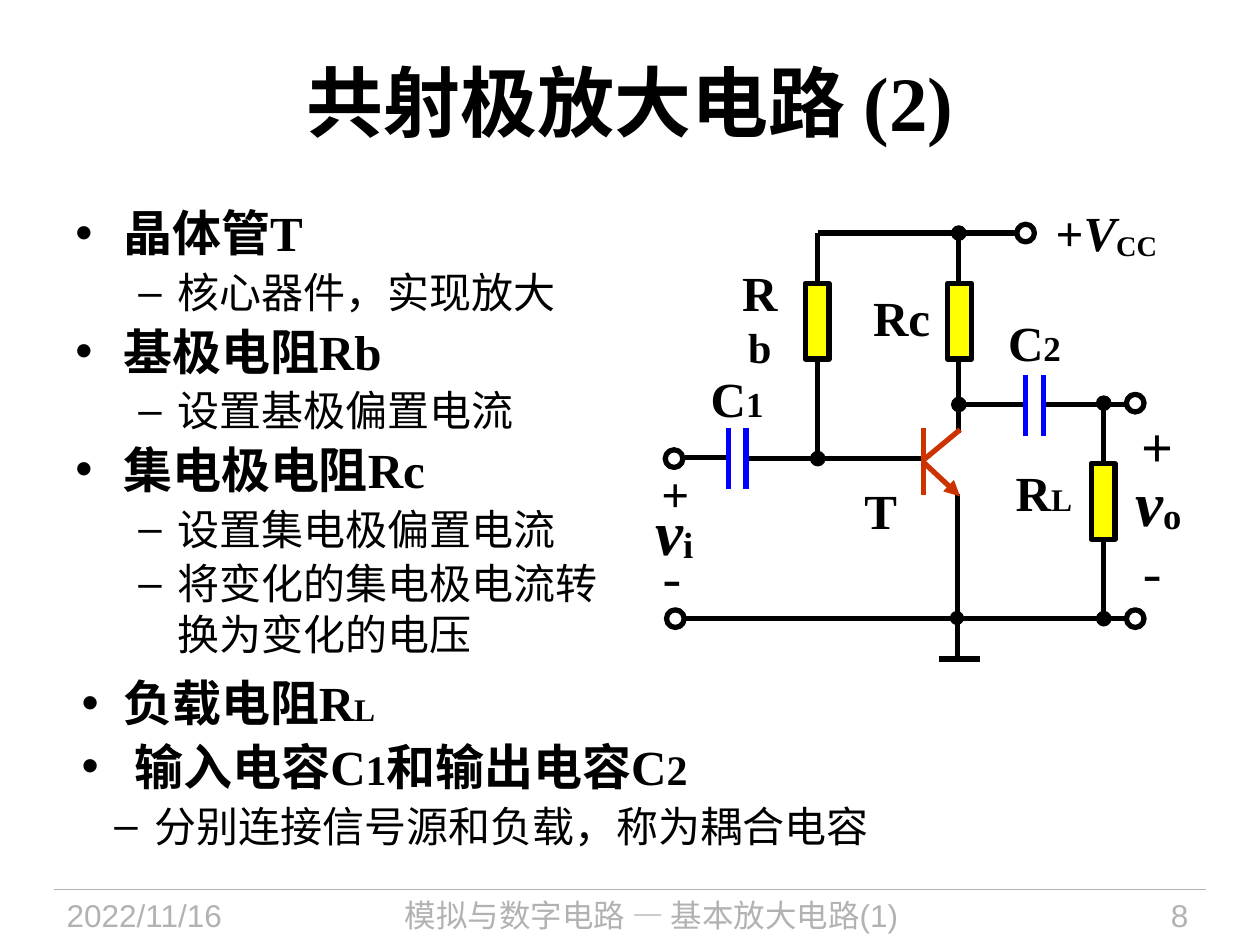
from dataclasses import dataclass
from typing import NamedTuple

from lxml import etree
from pptx import Presentation
from pptx.dml.color import RGBColor
from pptx.enum.shapes import MSO_CONNECTOR, MSO_SHAPE
from pptx.enum.text import MSO_ANCHOR, MSO_AUTO_SIZE, PP_ALIGN
from pptx.oxml.ns import qn
from pptx.util import Inches, Pt

STRAIGHT = MSO_CONNECTOR.STRAIGHT
RECTANGLE, OVAL = MSO_SHAPE.RECTANGLE, MSO_SHAPE.OVAL
TOP, MIDDLE = MSO_ANCHOR.TOP, MSO_ANCHOR.MIDDLE
LEFT, CENTER, RIGHT = PP_ALIGN.LEFT, PP_ALIGN.CENTER, PP_ALIGN.RIGHT
GROW = MSO_AUTO_SIZE.SHAPE_TO_FIT_TEXT

COLORS = {"ink": "000000", "footer": "B2B2B2", "resistor": "FFFF00",
          "transistor": "CC3300", "capacitor": "0000FF"}
SANS, SERIF = "Arial", "Times New Roman"

# Grid of 100 columns by 75 rows
WIDTH, HEIGHT = Inches(10), Inches(7.5)
COLUMN, ROW = WIDTH / 100, HEIGHT / 75


class Run(NamedTuple):
    text: str
    size: float = 28
    font: str = SERIF
    bold: bool = True
    italic: bool = False
    baseline: int = 0
    color: str = "ink"


class Para(NamedTuple):
    runs: list[Run]
    align: PP_ALIGN = LEFT
    bullet: str = ""
    margin: float = 0
    hang: float = 0
    level: int = 0


class Wire(NamedTuple):
    x1: float
    y1: float
    x2: float
    y2: float
    color: str = "ink"
    head: str = ""
    tail: str = ""
    width: float = 3


@dataclass
class Label:
    """Circuit label: box in columns and rows, plus its runs."""
    box: tuple[float, float, float, float]
    runs: list[Run]
    align: PP_ALIGN = CENTER
    inset: bool = True
    anchor: MSO_ANCHOR = MIDDLE


def cols(n: float) -> int:
    return round(n * COLUMN)


def rows(n: float) -> int:
    return round(n * ROW)


def rgb(name: str) -> RGBColor:
    return RGBColor.from_string(COLORS[name])


def add_wire(shapes, wire: Wire) -> None:
    line = shapes.add_connector(STRAIGHT, cols(wire.x1), rows(wire.y1),
                                cols(wire.x2), rows(wire.y2))
    line.line.color.rgb = rgb(wire.color)
    line.line.width = Pt(wire.width)
    properties = line._element.spPr
    outline = properties.find(qn("a:ln"))
    for tag, end in (("a:headEnd", wire.head), ("a:tailEnd", wire.tail)):
        if end:
            etree.SubElement(outline, qn(tag), type=end)
    etree.SubElement(properties, qn("a:effectLst"))


def add_part(shapes, kind, x: float, y: float, w: float, h: float, fill: str = "") -> None:
    part = shapes.add_shape(kind, cols(x), rows(y), cols(w), rows(h))
    part.shadow.inherit = False
    if fill:
        part.fill.solid()
        part.fill.fore_color.rgb = rgb(fill)
    else:
        part.fill.background()
    part.line.color.rgb = rgb("ink")
    part.line.width = Pt(3)


def format_bullet(paragraph, para: Para) -> None:
    properties = paragraph._p.get_or_add_pPr()
    properties.set("marL", str(cols(para.margin)))
    properties.set("indent", str(-cols(para.hang)))
    after = etree.SubElement(properties, qn("a:spcAft"))
    etree.SubElement(after, qn("a:spcPct"), val="10000")
    etree.SubElement(properties, qn("a:buFont"), typeface=SANS)
    etree.SubElement(properties, qn("a:buChar"), char=para.bullet)


def add_text(shapes, box, paras: list[Para], anchor=TOP, wrap=True, inset=True, grow=False) -> None:
    x, y, w, h = box
    frame = shapes.add_textbox(cols(x), rows(y), cols(w), rows(h)).text_frame
    frame.word_wrap = wrap
    frame.vertical_anchor = anchor
    if grow:
        frame.auto_size = GROW
    if not inset:
        frame.margin_left = frame.margin_right = frame.margin_top = frame.margin_bottom = 0
    for index, para in enumerate(paras):
        paragraph = frame.add_paragraph() if index else frame.paragraphs[0]
        paragraph.alignment = para.align
        paragraph.level = para.level
        if para.bullet:
            format_bullet(paragraph, para)
        for item in para.runs:
            run = paragraph.add_run()
            run.text = item.text
            font = run.font
            font.name, font.size = item.font, Pt(item.size)
            font.bold, font.italic = item.bold, item.italic
            font.color.rgb = rgb(item.color)
            if item.baseline:
                run._r.get_or_add_rPr().set("baseline", str(item.baseline * 1000))


def topic(text: str) -> Para:
    return Para([Run(text)], LEFT, "•", 3.8, 3.8)


def detail(text: str, margin: float = 8.1, hang: float = 3.1) -> Para:
    return Para([Run(text, 24, SANS, False)], LEFT, "–", margin, hang, 1)


TOPICS = [
    topic("晶体管T"), detail("核心器件，实现放大"),
    topic("基极电阻Rb"), detail("设置基极偏置电流"),
    topic("集电极电阻Rc"), detail("设置集电极偏置电流"),
    detail("将变化的集电极电流转换为变化的电压"),
]
LOAD_AND_CAPACITORS = [
    Para([Run("负载电阻R"), Run("L", 18)], LEFT, "•", 3.3, 3.3),
    Para([Run("输入电容C"), Run("1", 24), Run("和输出电容C"), Run("2", 24)],
         LEFT, "•", 4.2, 4.2),
    detail("分别连接信号源和负载，称为耦合电容", 5.8, 3.2),
]
FOOTERS = [((4.3, 18.8), "2022/11/16", LEFT),
           ((24.9, 53.6), "模拟与数字电路 — 基本放大电路(1)", CENTER),
           ((82, 13.3), "8", RIGHT)]

WIRES = [
    Wire(64.9, 18.5, 64.9, 36.4, tail="oval"),               # base bias branch
    Wire(64.9, 18.5, 80.8, 18.5),                            # supply rail
    Wire(59.1, 36.4, 73.5, 36.4),                            # base
    Wire(76.1, 18.5, 76.1, 34.4, head="oval"),               # collector
    Wire(76, 39.2, 76, 52.2),                                # emitter to ground
    Wire(54.3, 49.1, 89.4, 49.1),                            # common rail
    Wire(54.4, 36.3, 57.8, 36.3),                            # input
    Wire(89.4, 32.1, 82.7, 32.1),                            # output
    Wire(76.1, 32.1, 81.2, 32.1, head="oval"),
    Wire(74.5, 52.3, 77.8, 52.3),                            # ground bar
    Wire(87.6, 32, 87.6, 49.1, head="oval", tail="oval"),    # load branch
    Wire(73.3, 34, 73.3, 39.3, "transistor"),
    Wire(73.3, 36.7, 76.2, 39.4, "transistor", tail="triangle"),
    Wire(73.3, 36.5, 76.2, 34.1, "transistor"),
]
CAPACITORS = [(57.8, 34), (81.4, 29.8)]
RESISTORS = [(63.9, 22.5), (75.2, 22.5), (86.6, 36.8)]
TERMINALS = [(80.7, 17.8), (52.8, 35.7), (52.9, 48.4), (89.4, 31.3), (89.4, 48.4)]

LABELS = [
    Label((57, 22.3, 6.6, 5.7), [Run("R"), Run("b", 24)]),
    Label((68.3, 22.3, 6.5, 5.7), [Run("Rc")]),
    Label((55.4, 28.7, 6.2, 5.7), [Run("C"), Run("1", 20)]),
    Label((79, 24.3, 6.2, 5.7), [Run("C"), Run("2", 20)]),
    Label((67.6, 37.6, 4.6, 5.7), [Run("T")]),
    Label((79.6, 36.2, 6.5, 5.7), [Run("R"), Run("L", 18)]),
    Label((82.8, 15.6, 10.6, 5.7),
          [Run("+"), Run("V", italic=True), Run("CC", baseline=-10)], LEFT),
    Label((51.5, 36.3, 6.1, 5.7), [Run("+")], LEFT, anchor=TOP),
    Label((52.6, 43, 1.5, 5.3), [Run("-", 32, bold=False)], LEFT, False),
    Label((52, 39.1, 3.1, 6), [Run("v", 36, italic=True), Run("i", 36, baseline=-5)],
          LEFT, False, TOP),
    Label((90.6, 32.7, 2.5, 5.3), [Run("+", 32)], LEFT, False),
    Label((90.7, 42.6, 1.5, 5.3), [Run("-", 32, bold=False)], LEFT, False),
    Label((90.1, 36.8, 3.9, 6), [Run("v", 36, italic=True), Run("o", 36, baseline=-5)],
          LEFT, False),
]


def main() -> None:
    deck = Presentation()
    deck.slide_width, deck.slide_height = WIDTH, HEIGHT
    shapes = deck.slides.add_slide(deck.slide_layouts[6]).shapes

    # Footer
    add_wire(shapes, Wire(4.3, 70.6, 95.7, 70.6, "footer", width=0.75))
    for (x, w), text, align in FOOTERS:
        footer = Run(text, 18, SANS, False, color="footer")
        add_text(shapes, (x, 70.6, w, 4.4), [Para([footer], align)])

    # Title and topics
    title = [Run("共射极放大电路 ", 44, SANS), Run("(2)", 44)]
    add_text(shapes, (5, 1.7, 90, 12.5), [Para(title, CENTER)], MIDDLE)
    add_text(shapes, (5, 15.6, 44.6, 50.8), TOPICS)
    add_text(shapes, (5.5, 52.9, 69.7, 15.3), LOAD_AND_CAPACITORS, grow=True)

    # Circuit
    for wire in WIRES:
        add_wire(shapes, wire)
    for x, y in CAPACITORS:
        plates = shapes.add_group_shape().shapes
        for plate in (x, x + 1.4):
            add_wire(plates, Wire(plate, y, plate, y + 4.8, "capacitor"))
    for x, y in RESISTORS:
        add_part(shapes, RECTANGLE, x, y, 1.9, 6, "resistor")
    for x, y in TERMINALS:
        add_part(shapes, OVAL, x, y, 1.4, 1.4)
    add_part(shapes, OVAL, 75.6, 48.7, 0.7, 0.7, "ink")

    # Circuit labels
    for label in LABELS:
        add_text(shapes, label.box, [Para(label.runs, label.align)], label.anchor,
                 wrap=False, inset=label.inset, grow=True)

    deck.save("out.pptx")


if __name__ == "__main__":
    main()
